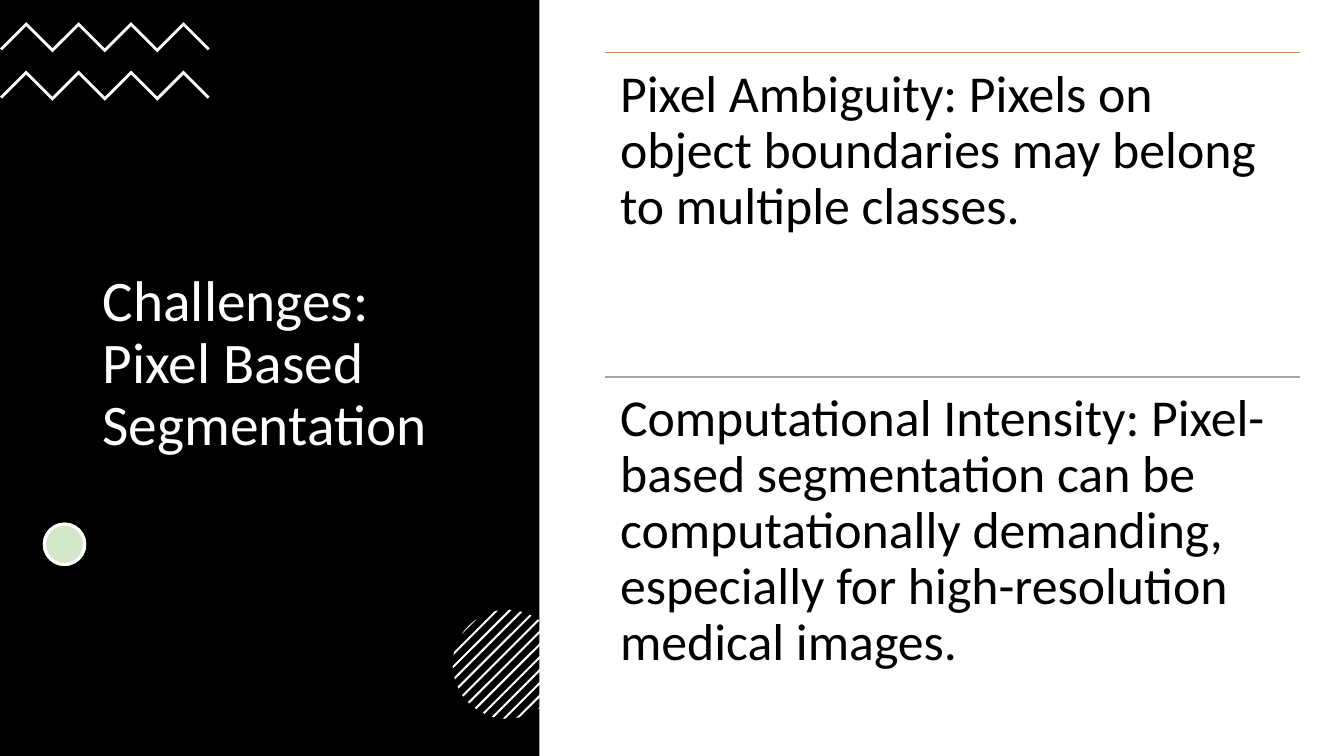
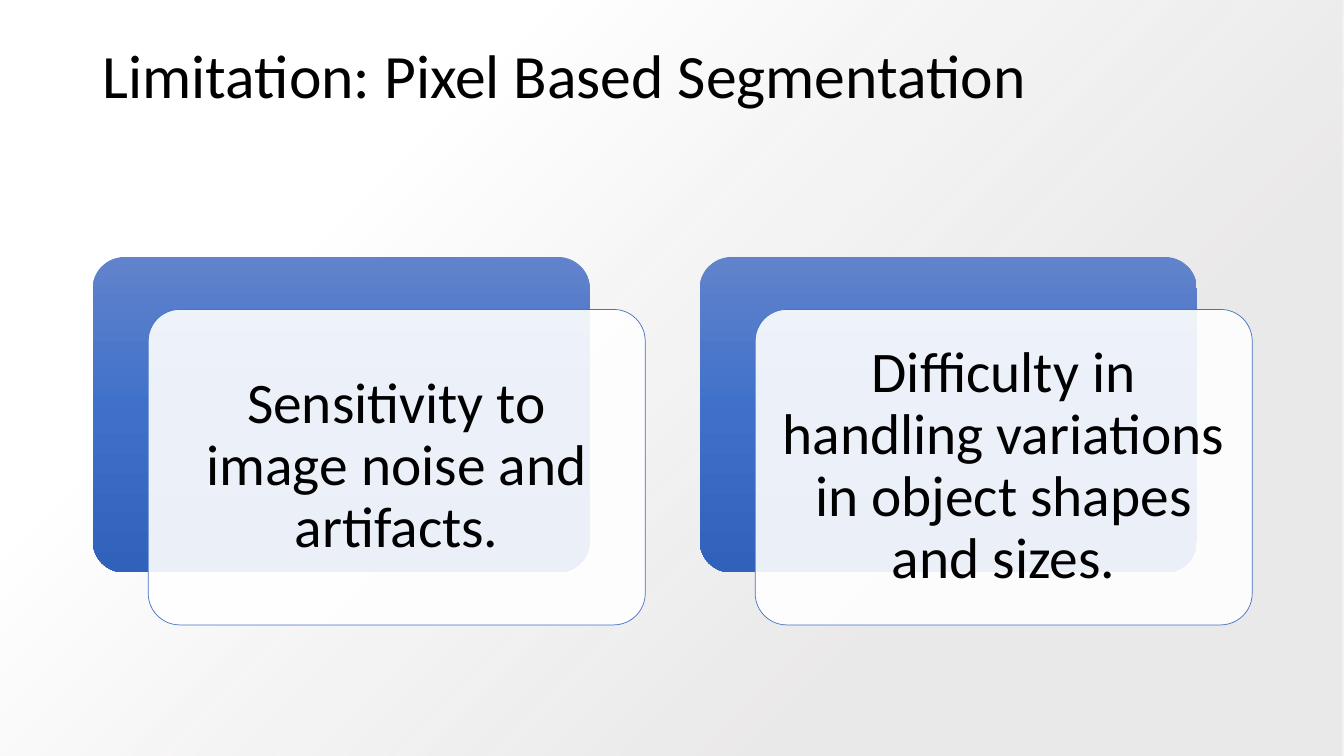
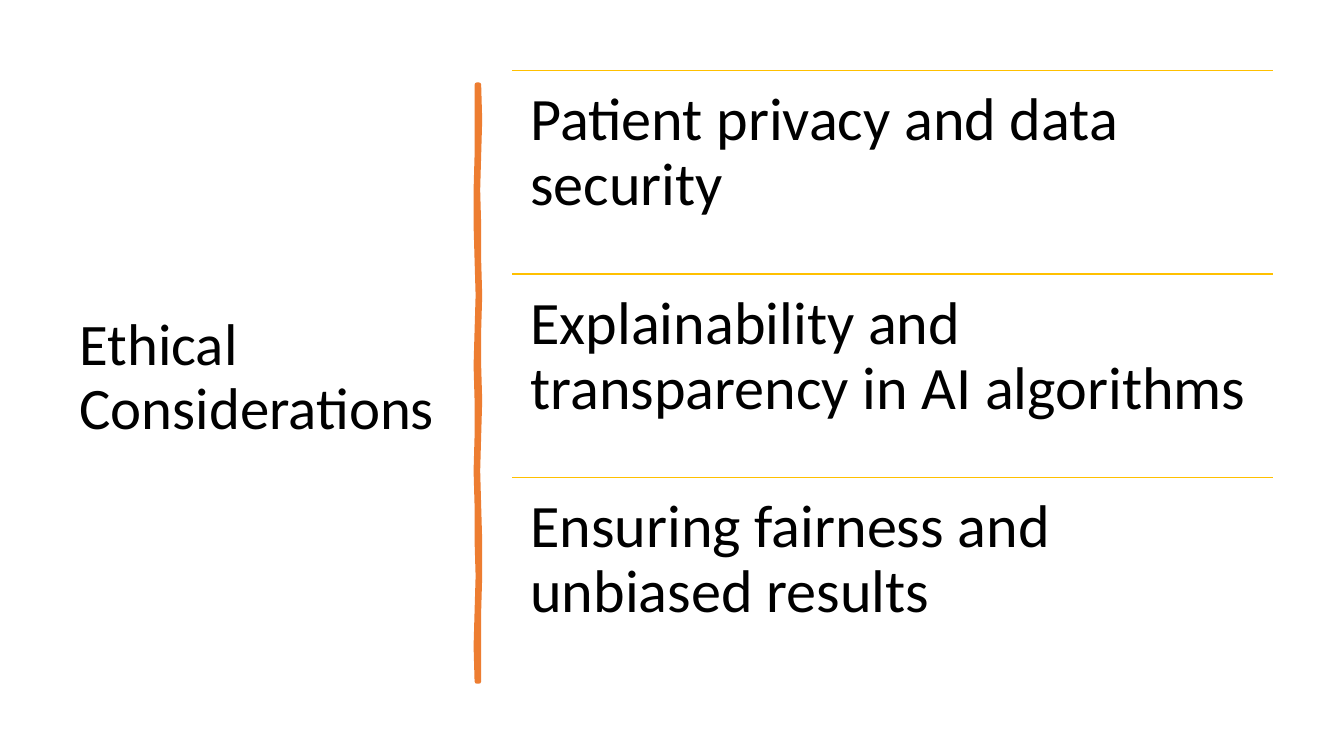
"""Build three slides on pixel based segmentation and ethical considerations."""
import math

from lxml import etree
from pptx import Presentation
from pptx.dml.color import RGBColor
from pptx.enum.shapes import MSO_CONNECTOR, MSO_SHAPE
from pptx.enum.text import MSO_ANCHOR, PP_ALIGN
from pptx.oxml.ns import qn
from pptx.util import Inches, Pt

RECTANGLE, ROUNDED, OVAL = MSO_SHAPE.RECTANGLE, MSO_SHAPE.ROUNDED_RECTANGLE, MSO_SHAPE.OVAL
STRAIGHT = MSO_CONNECTOR.STRAIGHT
TOP, MIDDLE = MSO_ANCHOR.TOP, MSO_ANCHOR.MIDDLE
LEFT, CENTER = PP_ALIGN.LEFT, PP_ALIGN.CENTER

WIDTH, HEIGHT = 13.33, 7.5
FONT = "Calibri"
COLORS = {
    "black": "000000", "white": "FFFFFF", "orange": "ED7D31", "grey": "A5A5A5",
    "gold": "FFC000", "green": "70AD47", "blue": "4472C4", "mist": "E7E6E6",
    "blue_top": "6183CB", "blue_middle": "3E70CA", "blue_bottom": "3062BB",
}

CHALLENGES = {
    "title": "Challenges: Pixel Based Segmentation",
    "rows": [
        ("Pixel Ambiguity: Pixels on object boundaries may belong to multiple classes.", "orange"),
        ("Computational Intensity: Pixel-based segmentation can be computationally demanding, "
         "especially for high-resolution medical images.", "grey"),
    ],
}
LIMITATION = {
    "title": "Limitation: Pixel Based Segmentation",
    "cards": [
        "Sensitivity to image noise and artifacts.",
        "Difficulty in handling variations in object shapes and sizes.",
    ],
}
ETHICS = {
    "title": "Ethical Considerations",
    "rows": [
        ("Patient privacy and data security", "gold"),
        ("Explainability and transparency in AI algorithms", "gold"),
        ("Ensuring fairness and unbiased results", "gold"),
    ],
}

CARD_GRADIENT = [(0, "blue_top", 100), (50, "blue_middle", 100), (100, "blue_bottom", 100)]
PAGE_GRADIENT = [(28, "mist", 84), (74, "white", 100)]
BRUSH_SWAY = [0, 1, 0, -1, 0, 0, 1, 0, 0, 1, 0, -1, 0, 1, 1, 0, 0, 0]


def rgb(name):
    """Return the named colour."""
    return RGBColor.from_string(COLORS[name])


def paint(shape, fill=None, line=None, weight=1, opacity=100):
    """Set the fill, opacity and outline of a shape."""
    shape.shadow.inherit = False
    if fill:
        shape.fill.solid()
        shape.fill.fore_color.rgb = rgb(fill)
        if opacity < 100:
            color = shape._element.spPr.find(qn("a:solidFill"))[0]
            etree.SubElement(color, qn("a:alpha"), val=str(opacity * 1000))
    if line:
        shape.line.color.rgb = rgb(line)
        shape.line.width = Pt(weight)
    else:
        shape.line.fill.background()
    return shape


def add_box(page, kind, area, **style):
    """Add a preset shape to the page."""
    return paint(page.shapes.add_shape(kind, *map(Inches, area)), **style)


def add_outline(page, points, **style):
    """Add a closed polygon through points given in inches."""
    start, *rest = [(Inches(x), Inches(y)) for x, y in points]
    builder = page.shapes.build_freeform(*start)
    builder.add_line_segments(rest, close=True)
    return paint(builder.convert_to_shape(), **style)


def add_gradient(shape, stops, angle=None):
    """Fill a shape with a linear gradient, or one spreading from the lower right corner."""
    shape.fill.gradient()
    gradient = shape._element.spPr.find(qn("a:gradFill"))
    for child in list(gradient):
        gradient.remove(child)
    stop_list = etree.SubElement(gradient, qn("a:gsLst"))
    for position, name, opacity in stops:
        stop = etree.SubElement(stop_list, qn("a:gs"), pos=str(position * 1000))
        color = etree.SubElement(stop, qn("a:srgbClr"), val=COLORS[name])
        if opacity < 100:
            etree.SubElement(color, qn("a:alpha"), val=str(opacity * 1000))
    if angle is None:
        circle = etree.SubElement(gradient, qn("a:path"), path="circle")
        etree.SubElement(circle, qn("a:fillToRect"), l="100000", t="100000")
        etree.SubElement(gradient, qn("a:tileRect"), r="-100000", b="-100000")
    else:
        etree.SubElement(gradient, qn("a:lin"), ang=str(angle * 60000), scaled="0")


def add_text(page, text, area, size, color="black", anchor=TOP, align=LEFT, inset=None):
    """Add a wrapped text box."""
    frame = page.shapes.add_textbox(*map(Inches, area)).text_frame
    frame.word_wrap = True
    frame.vertical_anchor = anchor
    if inset is not None:
        frame.margin_left = frame.margin_right = Inches(inset)
        frame.margin_top = frame.margin_bottom = Inches(inset)
    para = frame.paragraphs[0]
    para.alignment = align
    para.line_spacing = 0.9
    span = para.add_run()
    span.text = text
    span.font.name = FONT
    span.font.size = Pt(size)
    span.font.color.rgb = rgb(color)


def add_ruled_rows(page, rows, left, top, width, row_height, size, inset):
    """Stack text rows, each under a coloured rule."""
    for index, (text, color) in enumerate(rows):
        y = top + index * row_height
        ends = map(Inches, (left, y, left + width, y))
        rule = page.shapes.add_connector(STRAIGHT, *ends)
        rule.line.color.rgb = rgb(color)
        rule.line.width = Pt(1)
        etree.SubElement(rule._element.spPr, qn("a:effectLst"))
        add_text(page, text, (left, y, width, row_height), size, inset=inset)


def add_zigzag(page, top, step=0.26, rise=0.26, thickness=0.04, corners=9):
    """Draw a white zigzag band from the left edge."""
    upper = [(i * step, top + rise * (1 - i % 2)) for i in range(corners)]
    lower = [(x, y + thickness) for x, y in upper[1:-1]]
    half = thickness / 2
    first = (half, upper[0][1] + half)
    last = (upper[-1][0] - half, upper[-1][1] + half)
    add_outline(page, upper + [last] + lower[::-1] + [first], fill="white")


def add_striped_disc(page, center_x, center_y, radius, gap=0.09, half=0.01, reach=6):
    """Draw diagonal white stripes clipped to a disc."""
    root = math.sqrt(2)
    for index in range(-reach, reach + 1):
        sides = ([], [])
        for part in range(-2, 3):
            offset = index * gap + half * part / 2
            offset = max(-radius, min(radius, offset))
            chord = math.sqrt(radius ** 2 - offset ** 2)
            for side, sign in zip(sides, (1, -1)):
                side.append((center_x + (offset + sign * chord) / root,
                             center_y + (offset - sign * chord) / root))
        add_outline(page, sides[0] + sides[1][::-1], fill="white")


def add_brush_stroke(page, center, top, length, half=0.01, sway=0.01):
    """Draw a slightly wavering upright stroke."""
    step = length / (len(BRUSH_SWAY) - 1)
    right = [(center + half + sway * shift, top + i * step) for i, shift in enumerate(BRUSH_SWAY)]
    left = [(center - half - sway * shift, top + i * step)
            for i, shift in enumerate(reversed(BRUSH_SWAY))]
    add_outline(page, right + left[::-1], fill="orange", line="orange", weight=3.25)


def build_challenges(page):
    """Lay out the dark title panel with its ornaments and two rows."""
    add_box(page, RECTANGLE, (0, 0, 5.35, HEIGHT), fill="black")
    add_text(page, CHALLENGES["title"], (0.92, 1.31, 3.5, 4.63), 41, color="white", anchor=MIDDLE)
    for top in (0.22, 0.7):
        add_zigzag(page, top)
    for fill, opacity in (("white", 100), ("green", 30)):
        add_box(page, OVAL, (0.44, 5.2, 0.4, 0.4), fill=fill, opacity=opacity,
                line="white", weight=2.25)
    add_striped_disc(page, 5.03, 6.59, 0.54)
    add_ruled_rows(page, CHALLENGES["rows"], 6, 0.52, 6.89, 3.22, size=37, inset=0.15)


def build_limitation(page):
    """Lay out a shaded page with two layered cards."""
    add_gradient(add_box(page, RECTANGLE, (0, 0, WIDTH, HEIGHT)), PAGE_GRADIENT)
    add_text(page, LIMITATION["title"], (0.92, 0.4, 11.5, 1.45), 44)
    width, height, pad = 4.93, 3.13, 0.09
    for index, text in enumerate(LIMITATION["cards"]):
        x, y = 0.92 + index * 6.02, 2.55
        back = add_box(page, ROUNDED, (x, y, width, height))
        add_gradient(back, CARD_GRADIENT, angle=90)
        x, y = x + 0.55, y + 0.52
        front = add_box(page, ROUNDED, (x, y, width, height), fill="white", opacity=90,
                        line="blue", weight=0.5)
        for card in (back, front):
            card.adjustments[0] = 0.1
        area = (x + pad, y + pad, width - 2 * pad, height - 2 * pad)
        add_text(page, text, area, 41, anchor=MIDDLE, align=CENTER, inset=0.17)


def build_ethics(page):
    """Lay out the title, the brush stroke and three rows."""
    add_text(page, ETHICS["title"], (0.69, 0.7, 3.74, 6.11), 42, anchor=MIDDLE)
    add_brush_stroke(page, 4.74, 0.84, 5.92)
    add_ruled_rows(page, ETHICS["rows"], 5.08, 0.7, 7.55, 2.02, size=43, inset=0.18)


def main():
    """Build and save the deck."""
    deck = Presentation()
    deck.slide_width, deck.slide_height = Inches(WIDTH), Inches(HEIGHT)
    for build in (build_challenges, build_limitation, build_ethics):
        build(deck.slides.add_slide(deck.slide_layouts[6]))
    deck.save("out.pptx")


if __name__ == "__main__":
    main()
